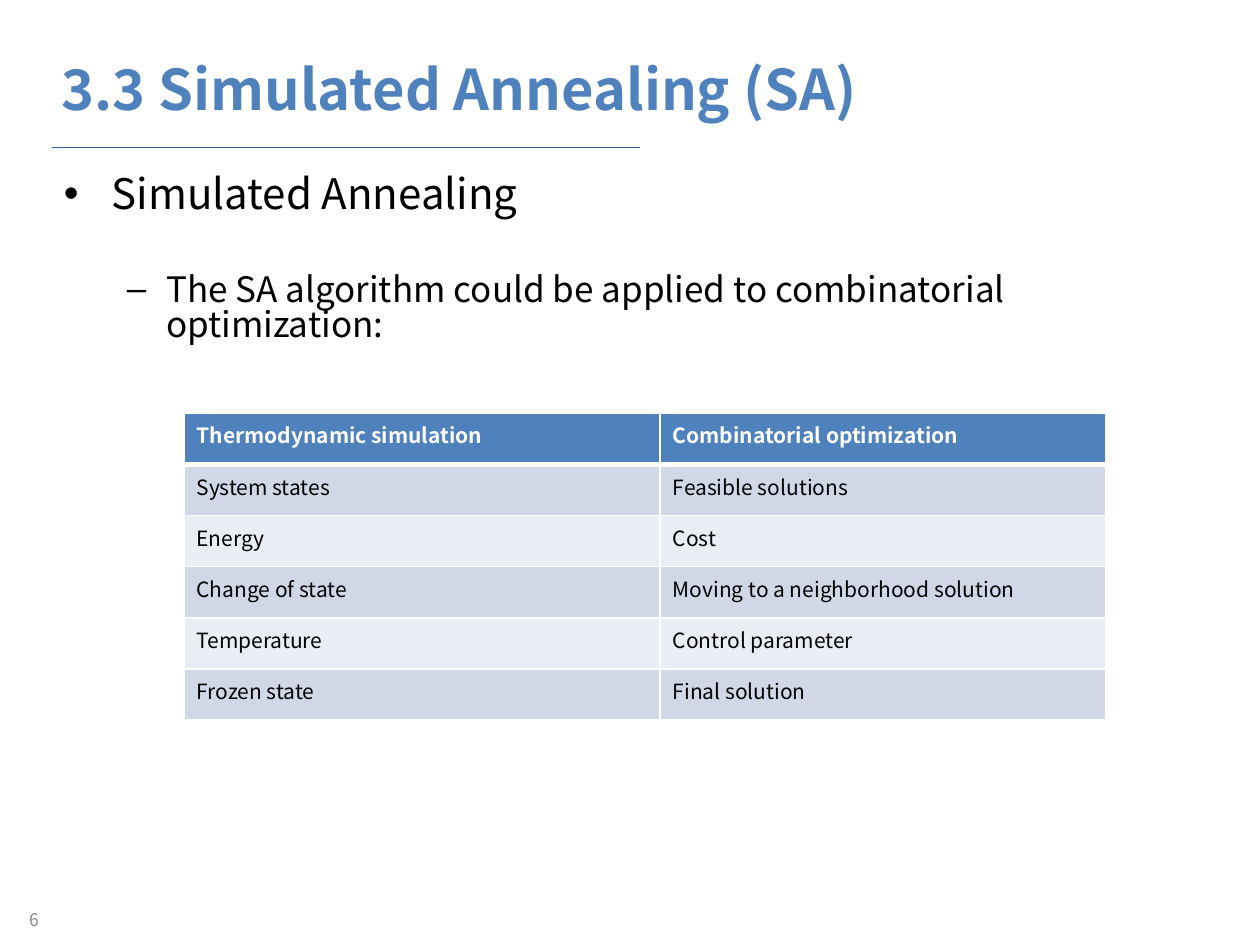
from dataclasses import dataclass

from lxml.etree import SubElement
from pptx import Presentation
from pptx.dml.color import RGBColor
from pptx.enum.shapes import MSO_CONNECTOR as Connector
from pptx.enum.text import MSO_ANCHOR as Anchor, PP_ALIGN as Align
from pptx.oxml.ns import qn
from pptx.util import Inches, Pt


@dataclass(frozen=True)
class Theme:
    font: str = "Noto Sans CJK KR"
    accent: str = "4F81BD"
    rule: str = "376092"
    text: str = "000000"
    light: str = "FFFFFF"
    muted: str = "8C8C8C"
    bands: tuple = ("D0D8E8", "E9EDF4")
    title_size: int = 32
    body_size: int = 24
    detail_size: int = 20
    table_size: int = 12
    number_size: int = 10


def apply_format(target, values):
    for name, value in values.items():
        setattr(target, name, value)


class SlideBuilder:
    """Draws on a grid of 100 columns by 75 rows."""

    def __init__(self, presentation, theme):
        self.theme = theme
        self.slide = presentation.slides.add_slide(presentation.slide_layouts[6])
        self.column = presentation.slide_width / 100
        self.row = presentation.slide_height / 75

    def place(self, left, top, width, height):
        return (round(left * self.column), round(top * self.row),
                round(width * self.column), round(height * self.row))

    def add_text(self, paragraph, text, size, color, bold=False):
        run = paragraph.add_run()
        run.text = text
        apply_format(run.font, {"name": self.theme.font, "size": Pt(size), "bold": bold})
        run.font.color.rgb = RGBColor.from_string(color)

    def frame(self, area, anchor):
        frame = self.slide.shapes.add_textbox(*self.place(*area)).text_frame
        apply_format(frame, {"word_wrap": True, "vertical_anchor": anchor})
        return frame

    def label(self, text, area, size, color, bold=False, align=Align.LEFT):
        paragraph = self.frame(area, Anchor.MIDDLE).paragraphs[0]
        paragraph.alignment = align
        self.add_text(paragraph, text, size, color, bold)

    def bullets(self, items, area):
        """Each item is text, size, mark, left indent, hanging indent and space before."""
        frame = self.frame(area, Anchor.TOP)
        for index, (text, size, mark, indent, hanging, before) in enumerate(items):
            paragraph = frame.add_paragraph() if index else frame.paragraphs[0]
            apply_format(paragraph, {"space_before": Pt(before), "line_spacing": 0.83})
            properties = paragraph._p.get_or_add_pPr()
            properties.set("marL", str(Inches(indent)))
            properties.set("indent", str(-Inches(hanging)))
            SubElement(properties, qn("a:buFont"), typeface="Arial")
            SubElement(properties, qn("a:buChar"), char=mark)
            self.add_text(paragraph, text, size, self.theme.text)

    def rule(self, left, right, top, width):
        x, y, length, _ = self.place(left, top, right - left, 0)
        line = self.slide.shapes.add_connector(Connector.STRAIGHT, x, y, x + length, y)
        line.line.width = Pt(width)
        line.line.color.rgb = RGBColor.from_string(self.theme.rule)
        SubElement(line._element.spPr, qn("a:effectLst"))

    def border(self, cell, widths):
        properties = cell._tc.get_or_add_tcPr()
        for side, width in widths.items():
            line = SubElement(properties, qn(f"a:ln{side}"), w=str(Pt(width)))
            fill = SubElement(line, qn("a:solidFill"))
            SubElement(fill, qn("a:srgbClr"), val=self.theme.light)

    def table(self, records, left, top, column_widths, row_height):
        theme = self.theme
        area = self.place(left, top, sum(column_widths), row_height * len(records))
        table = self.slide.shapes.add_table(
            len(records), len(column_widths), *area).table
        for column, width in zip(table.columns, column_widths):
            column.width = round(width * self.column)
        for index, record in enumerate(records):
            header = index == 0
            table.rows[index].height = round(row_height * self.row)
            fill = theme.accent if header else theme.bands[(index - 1) % 2]
            color = theme.light if header else theme.text
            widths = {"L": 1, "R": 1, "T": 3 if index == 1 else 1, "B": 3 if header else 1}
            for cell, text in zip(table.rows[index].cells, record):
                self.border(cell, widths)
                cell.fill.solid()
                cell.fill.fore_color.rgb = RGBColor.from_string(fill)
                self.add_text(cell.text_frame.paragraphs[0], text,
                              theme.table_size, color, header)


ANALOGY = [
    ("Thermodynamic simulation", "Combinatorial optimization"),
    ("System states", "Feasible solutions"),
    ("Energy", "Cost"),
    ("Change of state", "Moving to a neighborhood solution"),
    ("Temperature", "Control parameter"),
    ("Frozen state", "Final solution"),
]


def main():
    presentation = Presentation()
    apply_format(presentation, {"slide_width": Inches(10), "slide_height": Inches(7.5)})
    theme = Theme()
    builder = SlideBuilder(presentation, theme)
    builder.rule(4.1, 50.8, 11.7, 0.75)
    builder.label("3.3 Simulated Annealing (SA)", (3.9, 3.1, 92.2, 7.8),
                  theme.title_size, theme.accent, bold=True)
    builder.bullets([
        ("Simulated Annealing", theme.body_size, "•", 0.38, 0.38, 2),
        ("The SA algorithm could be applied to combinatorial optimization:",
         theme.detail_size, "–", 0.81, 0.31, 32.5),
    ], (4.1, 13.5, 90.3, 7.9))
    builder.label("6", (0, 71, 4.1, 4), theme.number_size, theme.muted, align=Align.RIGHT)
    builder.table(ANALOGY, 14.6, 32.8, (37.8, 35.4), 4.06)
    presentation.save("out.pptx")


if __name__ == "__main__":
    main()
